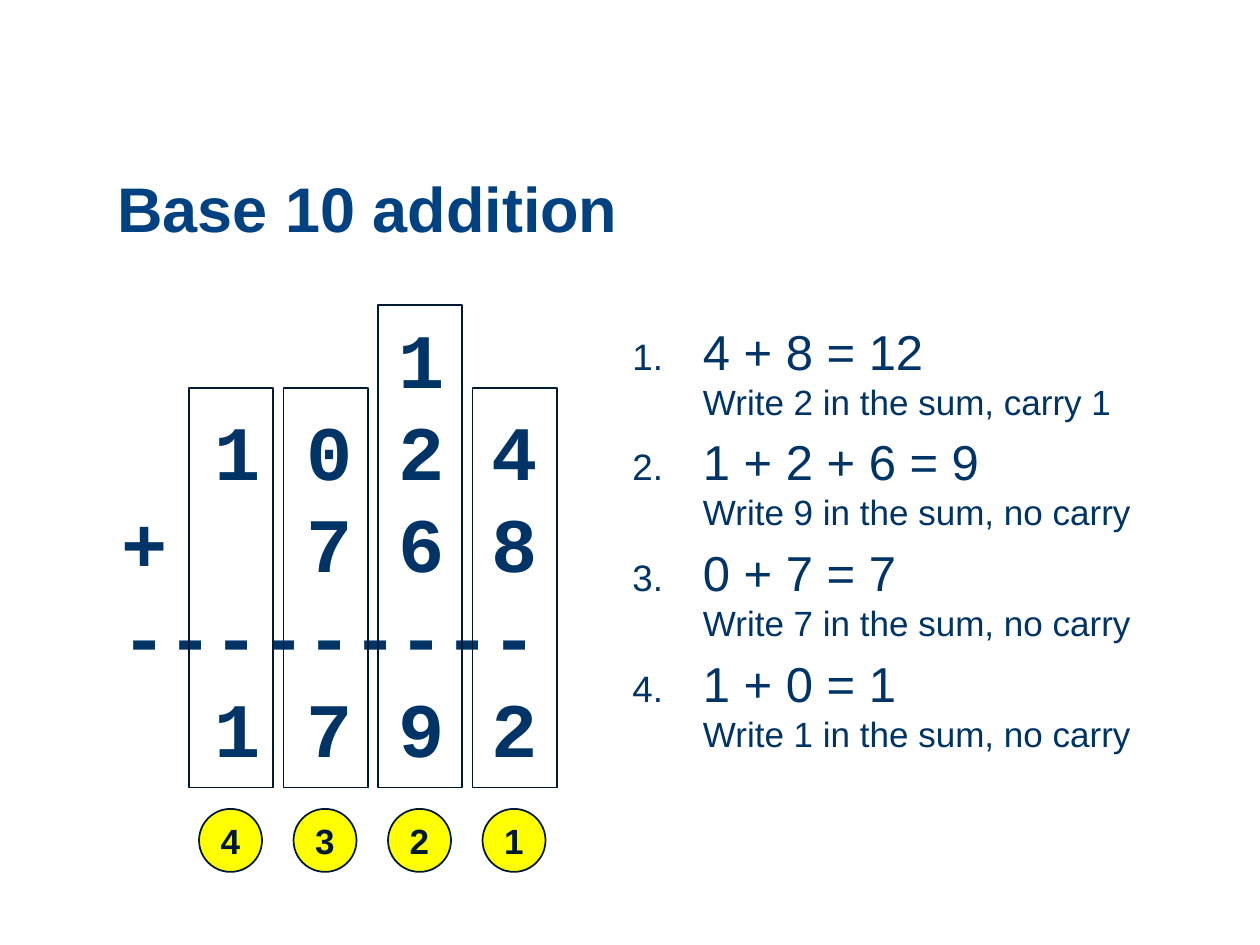
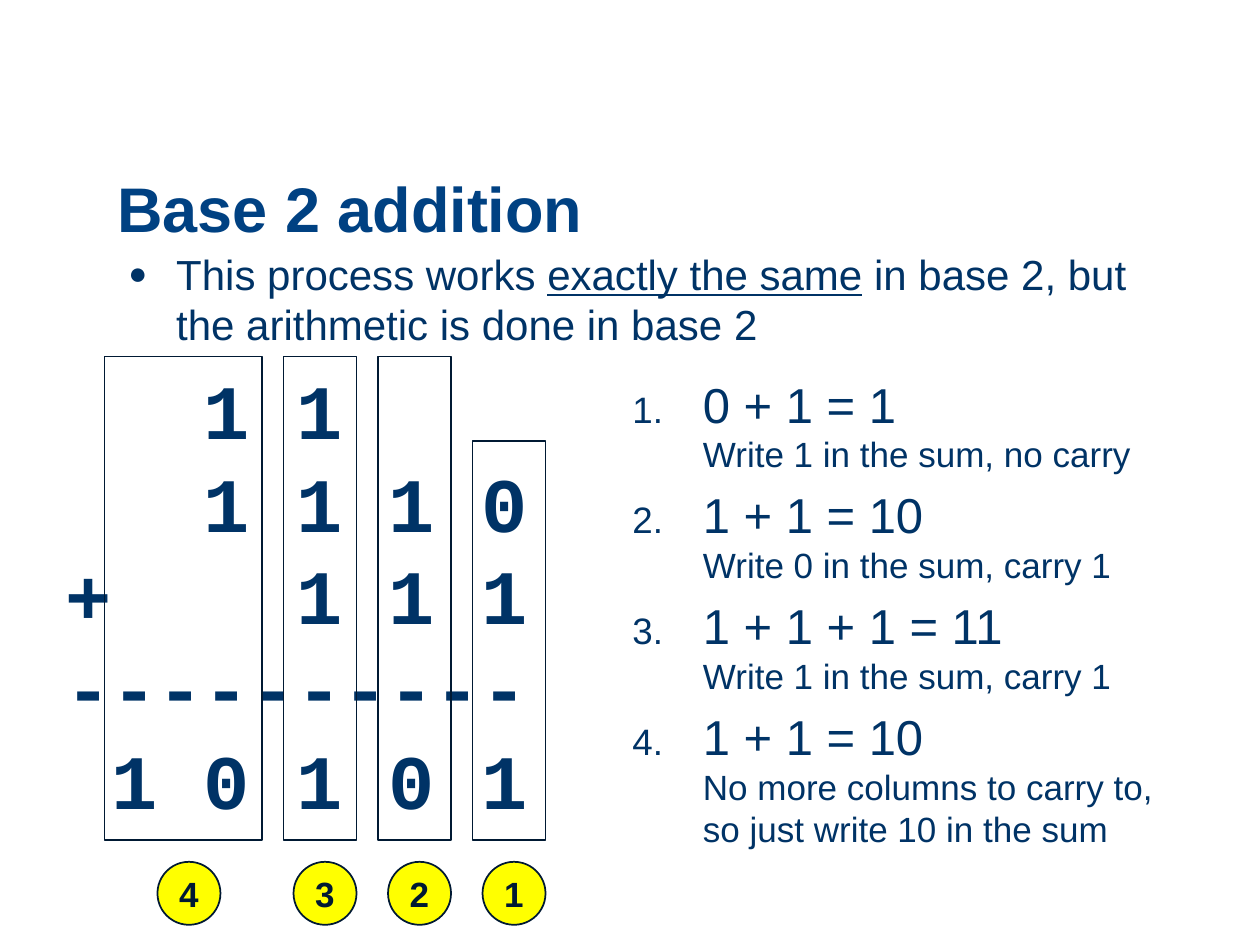
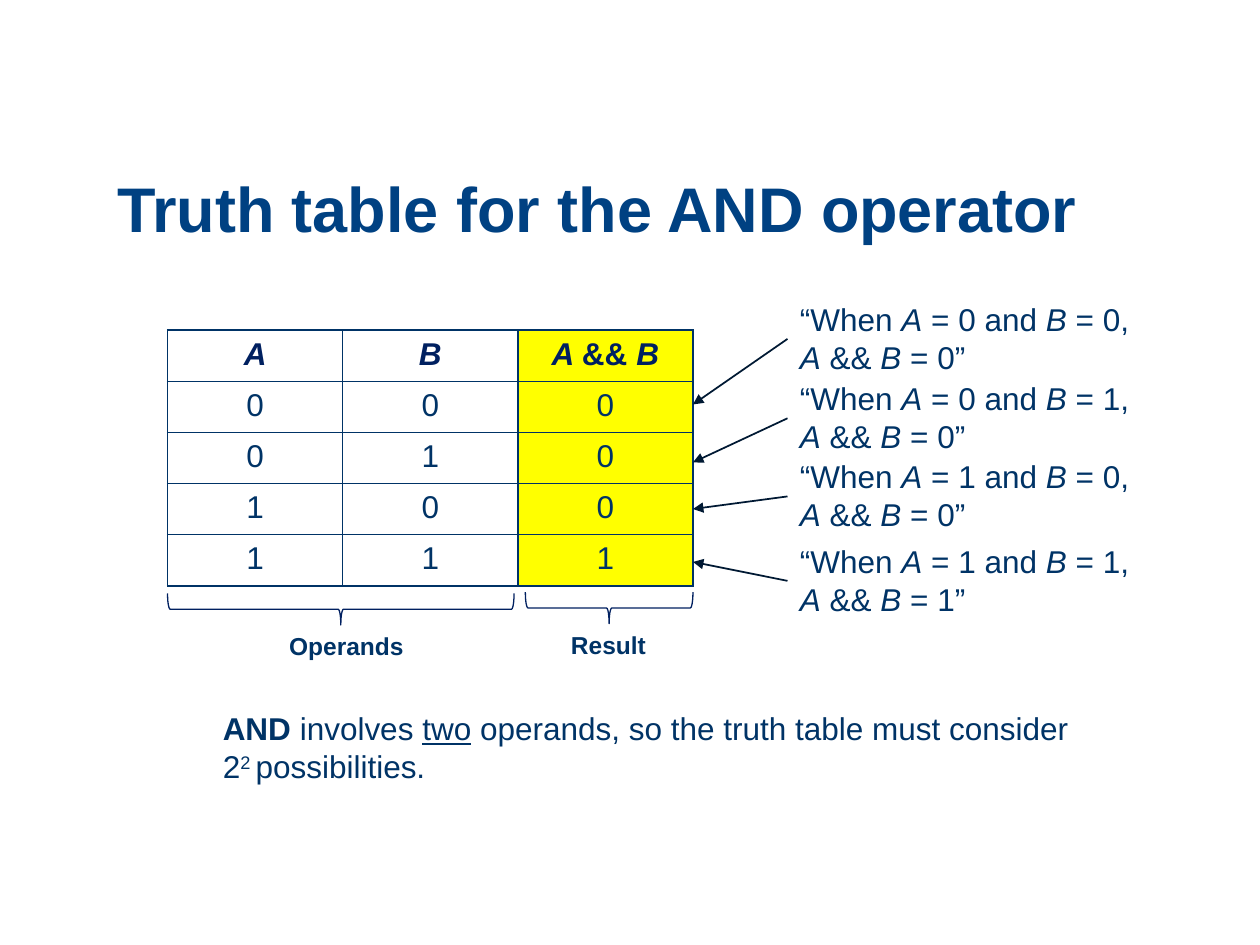
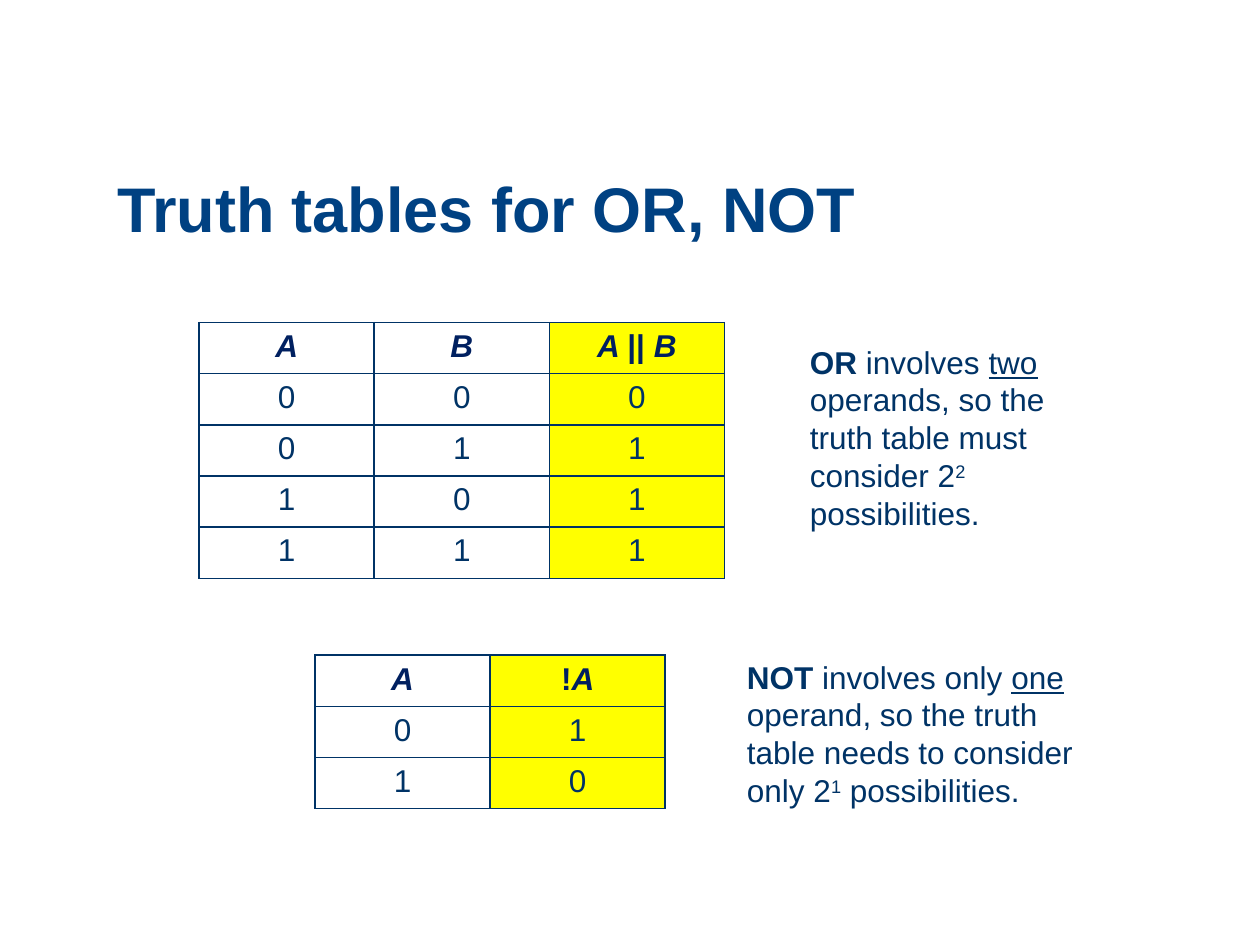
from itertools import product

from lxml import etree
from pptx import Presentation
from pptx.dml.color import RGBColor
from pptx.enum.shapes import MSO_CONNECTOR, MSO_SHAPE
from pptx.enum.text import MSO_ANCHOR, MSO_AUTO_SIZE, PP_ALIGN
from pptx.oxml.ns import qn
from pptx.util import Emu, Inches, Pt

COLORS = {
    "title": "004182",
    "text": "003366",
    "header": "002060",
    "outline": "001933",
    "highlight": "FFFF00",
}
BODY_FONT = "Arial"
DIGIT_FONT = "Courier New"
DIGIT_SIZE = 44
DIGIT_WIDTH = DIGIT_SIZE * 0.6 / 72  # monospaced advance in inches
CELL_WIDTH, CELL_HEIGHT = 1.39, 0.406


def rgb(name):
    return RGBColor.from_string(COLORS[name])


def sub(parent, tag, **attributes):
    """Append an XML child such as a:tailEnd."""
    return etree.SubElement(parent, qn(tag), attributes)


# ---- Text ----

def add_runs(paragraph, pieces, size, color="text", font=BODY_FONT):
    """Each piece is text or (text, style); style letters are b, i, u and ^."""
    for piece in [pieces] if isinstance(pieces, str) else pieces:
        text, style = (piece, "") if isinstance(piece, str) else piece
        for index, line in enumerate(text.split("\n")):
            if index:
                paragraph.add_line_break()
            if not line:
                continue
            run = paragraph.add_run()
            run.text = line
            run.font.name, run.font.size = font, Pt(size)
            run.font.color.rgb = rgb(color)
            run.font.bold = "b" in style
            run.font.italic = "i" in style
            run.font.underline = "u" in style
            if "^" in style:
                run._r.get_or_add_rPr().set("baseline", "30000")


def add_text_box(slide, left, top, width, height, grow=True):
    box = slide.shapes.add_textbox(Inches(left), Inches(top), Inches(width), Inches(height))
    frame = box.text_frame
    frame.word_wrap = True
    frame.auto_size = MSO_AUTO_SIZE.SHAPE_TO_FIT_TEXT if grow else MSO_AUTO_SIZE.NONE
    return frame


def add_note(slide, left, top, width, height, pieces, size=18, align=PP_ALIGN.LEFT):
    paragraph = add_text_box(slide, left, top, width, height).paragraphs[0]
    paragraph.alignment = align
    add_runs(paragraph, pieces, size)


def paragraphs_for(frame, items):
    """Pair each item with a paragraph of the frame."""
    for index, item in enumerate(items):
        yield (frame.add_paragraph() if index else frame.paragraphs[0]), item


def set_bullet(paragraph, indent, bullet=None):
    """Hanging bullet, or an automatic number when no bullet is given."""
    props = paragraph._p.get_or_add_pPr()
    props.set("marL", str(Inches(indent)))
    props.set("indent", str(-Inches(indent)))
    sub(sub(props, "a:spcBef"), "a:spcPct", val="20000")
    sub(sub(props, "a:buClr"), "a:srgbClr", val=COLORS["text"])
    sub(props, "a:buSzPct", val="75000")
    sub(props, "a:buFont", typeface=BODY_FONT)
    if bullet:
        sub(props, "a:buChar", char=bullet)
    else:
        sub(props, "a:buAutoNum", type="arabicPeriod")


def add_steps(slide, top, steps):
    frame = add_text_box(slide, 4.92, top, 4.41, 4.42, grow=False)
    for paragraph, (equation, action) in paragraphs_for(frame, steps):
        set_bullet(paragraph, 0.56)
        add_runs(paragraph, equation + "\n", 28)
        add_runs(paragraph, action, 20)


def add_digits(slide, left, top, width, rows):
    """Each row lists (character column, text), placed with tab stops."""
    frame = add_text_box(slide, left, top, width, 3.8)
    for paragraph, row in paragraphs_for(frame, rows):
        tabs = sub(paragraph._p.get_or_add_pPr(), "a:tabLst")
        for column, text in row:
            if column:
                sub(tabs, "a:tab", pos=str(Inches(column * DIGIT_WIDTH)), algn="l")
                text = "\t" + text
            add_runs(paragraph, [(text, "b")], DIGIT_SIZE, font=DIGIT_FONT)


# ---- Shapes ----

def add_outline(slide, kind, left, top, width, height, color="outline", weight=1, fill=None):
    shape = slide.shapes.add_shape(kind, Inches(left), Inches(top), Inches(width), Inches(height))
    shape.shadow.inherit = False
    if fill:
        shape.fill.solid()
        shape.fill.fore_color.rgb = rgb(fill)
    else:
        shape.fill.background()
    shape.line.color.rgb = rgb(color)
    shape.line.width = Pt(weight)
    return shape


def add_columns(slide, bottom, columns):
    """Frame each digit column (left, top, width, badge inset) and number it."""
    for left, top, width, _ in columns:
        add_outline(slide, MSO_SHAPE.RECTANGLE, left, top, width, bottom - top)
    for number, (left, _, _, inset) in enumerate(columns, 1):
        badge = add_outline(slide, MSO_SHAPE.OVAL, left + inset, bottom + 0.17, 0.5, 0.5,
                            fill="highlight")
        frame = badge.text_frame
        frame.margin_left = frame.margin_right = 0
        frame.vertical_anchor = MSO_ANCHOR.MIDDLE
        frame.paragraphs[0].alignment = PP_ALIGN.CENTER
        add_runs(frame.paragraphs[0], [(str(number), "b")], 20, "outline")


def add_arrow(slide, x1, y1, x2, y2):
    arrow = slide.shapes.add_connector(MSO_CONNECTOR.STRAIGHT, Inches(x1), Inches(y1),
                                       Inches(x2), Inches(y2))
    arrow.line.color.rgb = rgb("outline")
    arrow.line.width = Pt(1)
    sub(arrow.line._get_or_add_ln(), "a:tailEnd", type="triangle")
    sub(arrow._element.spPr, "a:effectLst")


def add_brace(slide, left, top, width, height):
    """Brace opening upwards; its box is given before the quarter turn."""
    brace = add_outline(slide, MSO_SHAPE.LEFT_BRACE, left, top, width, height, "header", 0.75)
    brace.rotation = 270


# ---- Truth tables ----

def set_borders(cell):
    props = cell._tc.get_or_add_tcPr()
    for position, side in enumerate(("a:lnL", "a:lnR", "a:lnT", "a:lnB")):
        line = etree.Element(qn(side), w=str(Pt(1)))
        sub(sub(line, "a:solidFill"), "a:srgbClr", val=COLORS["text"])
        props.insert(position, line)


def add_truth_table(slide, left, top, headers, operator):
    """List every operand combination, with the result in the last column."""
    operands = len(headers) - 1
    rows = [headers]
    for values in product((0, 1), repeat=operands):
        rows.append([str(value) for value in (*values, int(operator(*values)))])
    frame = slide.shapes.add_table(len(rows), len(headers), Inches(left), Inches(top),
                                   Inches(CELL_WIDTH * len(headers)),
                                   Inches(CELL_HEIGHT * len(rows)))
    table = frame.table
    table.first_row = table.horz_banding = False
    for column in table.columns:
        column.width = Inches(CELL_WIDTH)
    for r, row in enumerate(rows):
        table.rows[r].height = Inches(CELL_HEIGHT)
        for c, content in enumerate(row):
            cell = table.cell(r, c)
            if c == operands:
                cell.fill.solid()
                cell.fill.fore_color.rgb = rgb("highlight")
            else:
                cell.fill.background()
            set_borders(cell)
            paragraph = cell.text_frame.paragraphs[0]
            paragraph.alignment = PP_ALIGN.CENTER
            add_runs(paragraph, content, 18, "text" if r else "header")


# ---- Slides ----

def add_titled_slide(prs, text):
    slide = prs.slides.add_slide(prs.slide_layouts[5])
    title = slide.shapes.title
    title.left, title.top = Inches(0.83), Inches(1.08)
    title.width, title.height = Inches(8.67), Inches(0.92)
    frame = title.text_frame
    frame.auto_size = MSO_AUTO_SIZE.NONE
    frame.vertical_anchor = MSO_ANCHOR.BOTTOM
    paragraph = frame.paragraphs[0]
    paragraph.alignment = PP_ALIGN.LEFT
    paragraph.line_spacing = 0.9
    add_runs(paragraph, [(text, "b")], 36, "title")
    return slide


def base_10_slide(prs):
    slide = add_titled_slide(prs, "Base 10 addition")
    add_digits(slide, 0.5, 2.42, 4.08, [
        [(7, "1")],
        [(3, "1 0 2 4")],
        [(1, "+"), (5, "7 6 8")],
        [(1, "-" * 9)],
        [(3, "1 7 9 2")],
    ])
    add_steps(slide, 2.5, [
        ("4 + 8 = 12", "Write 2 in the sum, carry 1"),
        ("1 + 2 + 6 = 9", "Write 9 in the sum, no carry"),
        ("0 + 7 = 7", "Write 7 in the sum, no carry"),
        ("1 + 0 = 1", "Write 1 in the sum, no carry"),
    ])
    tops = (3.08, 2.42, 3.08, 3.08)
    add_columns(slide, 6.25, [(3.75 - 0.75 * i, top, 0.67, 0.08) for i, top in enumerate(tops)])


def base_2_slide(prs):
    slide = add_titled_slide(prs, "Base 2 addition")
    intro = add_text_box(slide, 0.92, 1.92, 8.41, 4.75, grow=False).paragraphs[0]
    set_bullet(intro, 0.38, "●")
    add_runs(intro, ["This process works ", ("exactly the same", "u"),
                     " in base 2, but the arithmetic is done in base 2"], 24)
    add_digits(slide, 0.42, 2.83, 3.92, [
        [(3, "1 1")],
        [(3, "1 1 1 0")],
        [(0, "+"), (5, "1 1 1")],
        [(0, "-" * 10)],
        [(1, "1 0 1 0 1")],
    ])
    add_steps(slide, 2.92, [
        ("0 + 1 = 1", "Write 1 in the sum, no carry"),
        ("1 + 1 = 10", "Write 0 in the sum, carry 1"),
        ("1 + 1 + 1 = 11", "Write 1 in the sum, carry 1"),
        ("1 + 1 = 10", "No more columns to carry to, so just write 10 in the sum"),
    ])
    columns = [(3.75 - 0.75 * i, top, 0.58, 0.08) for i, top in enumerate((3.5, 2.83, 2.83))]
    add_columns(slide, 6.67, columns + [(0.83, 2.83, 1.25, 0.42)])


def and_slide(prs):
    slide = add_titled_slide(prs, "Truth table for the AND operator")
    add_truth_table(slide, 1.33, 2.62, [[("A", "bi")], [("B", "bi")],
                                        [("A ", "bi"), ("&& ", "b"), ("B", "bi")]],
                    lambda a, b: a and b)

    # Reading of each table row, with an arrow to it
    readings = zip(product((0, 1), repeat=2), (2.33, 2.96, 3.58, 4.25), (3.21, 3.67, 4.04, 4.46))
    for (a, b), top, arrow_end in readings:
        add_arrow(slide, 6.25, top + 0.36, 5.5, arrow_end)
        add_note(slide, 6.25, top, 3.08, 0.71, [
            "“When ", ("A", "i"), f" = {a} and ", ("B", "i"), f" = {b},\n",
            ("A", "i"), " && ", ("B", "i"), f" = {a & b}”"])

    # Column groups
    add_brace(slide, 2.58, 3.46, 0.25, 2.75)
    add_brace(slide, 4.71, 4.16, 0.25, 1.33)
    for left, top, label in ((2, 4.96, "Operands"), (4.08, 4.95, "Result")):
        add_note(slide, left, top, 1.5, 0.34, [(label, "b")], 14, PP_ALIGN.CENTER)

    add_note(slide, 1.67, 5.58, 7.17, 0.71, [
        ("AND", "b"), " involves ", ("two", "u"),
        " operands, so the truth table must consider 2", ("2 ", "^"), "possibilities."])


def or_not_slide(prs):
    slide = add_titled_slide(prs, "Truth tables for OR, NOT")
    add_truth_table(slide, 2.5, 5.2, [[("A", "bi")], [("!", "b"), ("A", "bi")]],
                    lambda a: not a)
    add_note(slide, 6.33, 2.67, 2.17, 1.62, [
        ("OR", "b"), " involves ", ("two", "u"),
        " operands, so the truth table must consider 2", ("2", "^"), " possibilities."])
    add_note(slide, 5.83, 5.17, 3.08, 1.31, [
        ("NOT ", "b"), "involves only ", ("one", "u"),
        " operand, so the truth table needs to consider only 2", ("1", "^"), " possibilities."])
    add_truth_table(slide, 1.58, 2.56, [[("A", "bi")], [("B", "bi")],
                                        [("A ", "bi"), ("|| ", "b"), ("B", "bi")]],
                    lambda a, b: a or b)


def main():
    prs = Presentation()
    prs.slide_width, prs.slide_height = Inches(10), Inches(7.5)
    base_10_slide(prs)
    base_2_slide(prs)
    and_slide(prs)
    or_not_slide(prs)
    prs.save("out.pptx")


main()
